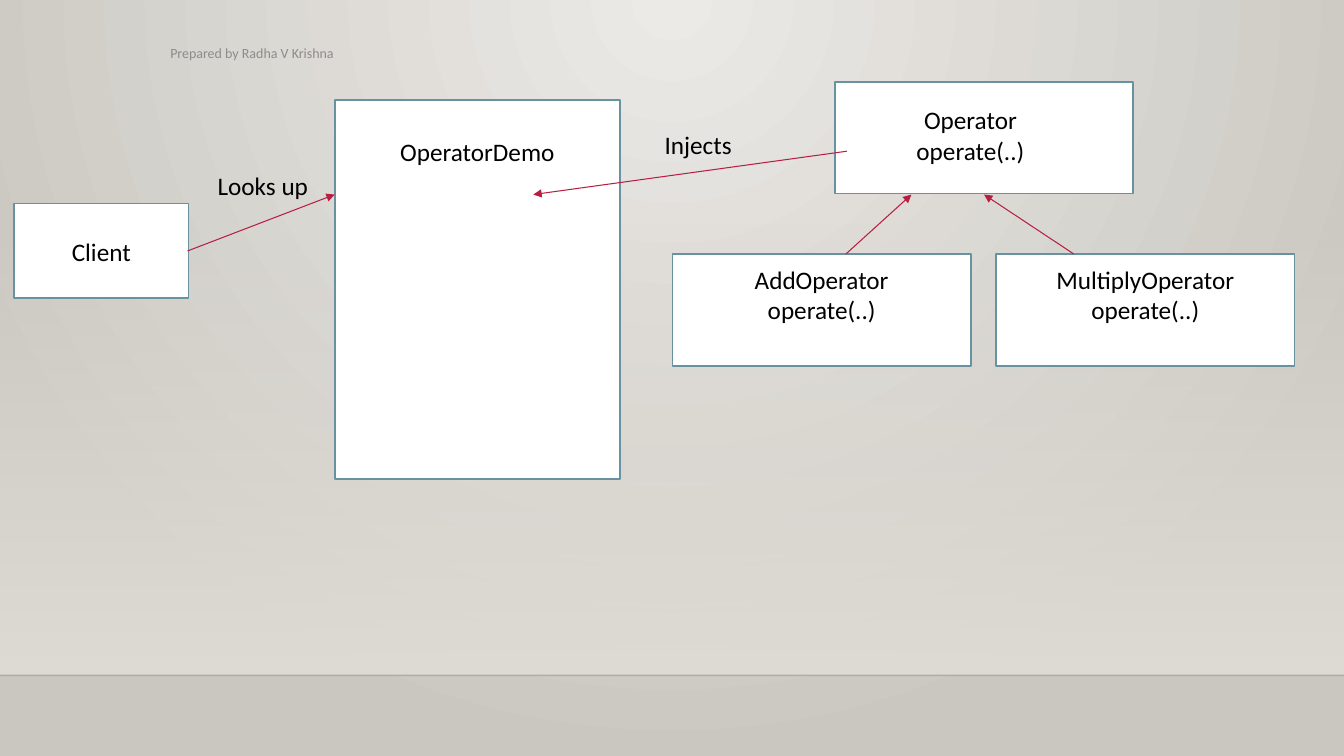
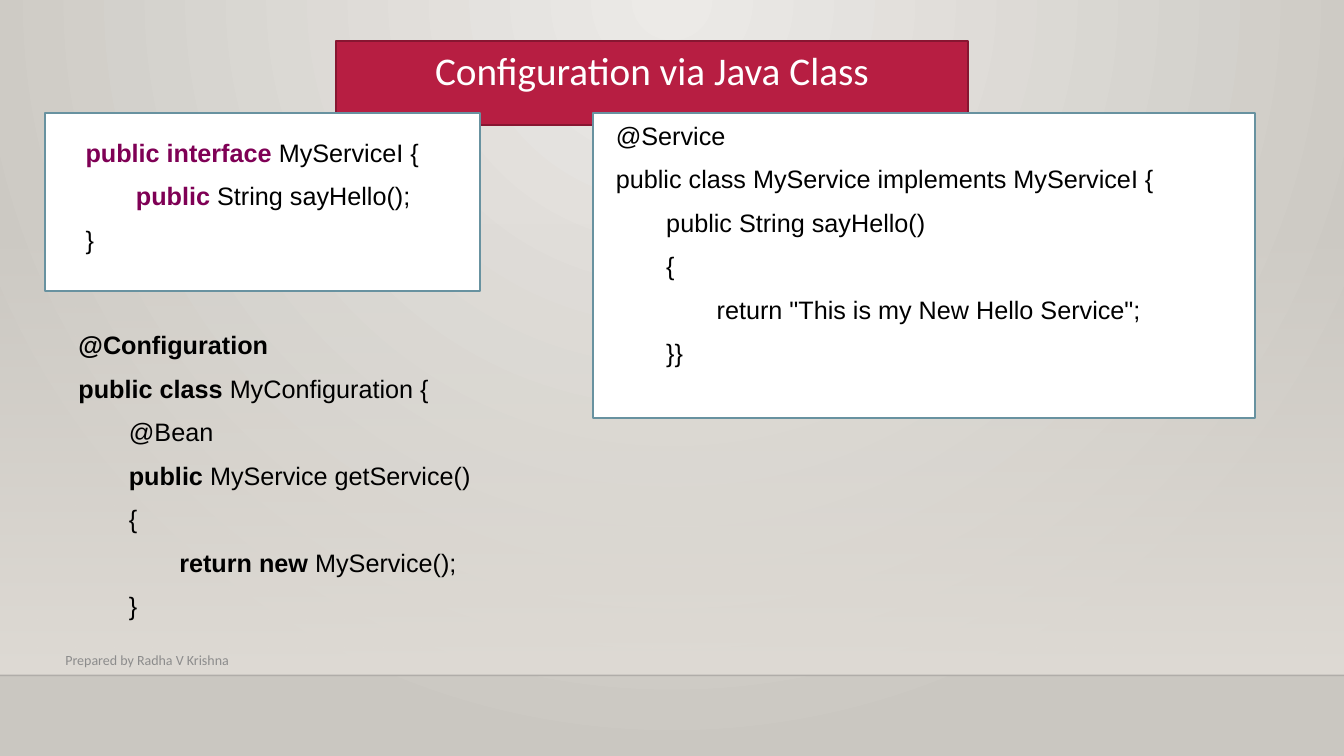
from lxml.etree import SubElement
from pptx import Presentation
from pptx.dml.color import RGBColor
from pptx.enum.shapes import MSO_CONNECTOR as CONNECTOR, MSO_SHAPE as SHAPE
from pptx.enum.text import MSO_ANCHOR as ANCHOR, MSO_AUTO_SIZE as AUTO_SIZE, PP_ALIGN as ALIGN
from pptx.oxml.ns import qn
from pptx.util import Inches, Pt

COLORS = {
    "glow": "ECEAE7", "edge": "CAC7C1", "wall": "DFDBD5", "floor_line": "000001",
    "white": "FFFFFF", "box_line": "6892A0", "accent": "B71E42",
    "accent_line": "871631", "text": "000000", "keyword": "7F0055", "footer": "8C8C8C",
}
RGB = {name: RGBColor.from_string(value) for name, value in COLORS.items()}


def add_box(page, place, fill="white", line="box_line"):
    box = page.shapes.add_shape(SHAPE.RECTANGLE, *map(Inches, place))
    box.shadow.inherit = False
    box.fill.solid()
    box.fill.fore_color.rgb = RGB[fill]
    box.line.color.rgb = RGB[line]
    box.line.width = Pt(1.25)
    return box


def write(box, lines, size=18, font="Calibri", align=ALIGN.CENTER, anchor=ANCHOR.TOP):
    """Each line is a list of (text, bold, colour) runs."""
    frame = box.text_frame
    frame.word_wrap = True
    frame.vertical_anchor = anchor
    for number, spans in enumerate(lines):
        para = frame.add_paragraph() if number else frame.paragraphs[0]
        para.alignment = align
        for text, bold, color in spans:
            span = para.add_run()
            span.text = text
            span.font.name = font
            span.font.size = Pt(size)
            span.font.bold = bold
            span.font.color.rgb = RGB[color]
    return frame


deck = Presentation()
deck.slide_width, deck.slide_height = Inches(13.33), Inches(7.5)
diagram = deck.slides.add_slide(deck.slide_layouts[6])
code = deck.slides.add_slide(deck.slide_layouts[5])

# Master background: a glow from the top centre
master = deck.slide_master
backdrop = master.background.fill
backdrop.gradient()
for stop, color in zip(backdrop.gradient_stops, ("glow", "edge")):
    stop.color.rgb = RGB[color]
gradient = master.element.find(".//" + qn("a:gradFill"))
gradient.remove(gradient.find(qn("a:lin")))
glow = SubElement(gradient, qn("a:path"), path="circle")
SubElement(glow, qn("a:fillToRect"), l="43000", t="0", r="43000", b="100000")

# Master wall and floor line, built on a slide and moved to the master
wall = add_box(diagram, (0, 2.21, 13.33, 4.49))
wall.line.fill.background()
wall.fill.gradient()
wall.fill.gradient_angle = 270
for stop in wall.fill.gradient_stops:
    stop.color.rgb = RGB["wall"]
SubElement(wall.element.find(".//" + qn("a:srgbClr")), qn("a:alpha"), val="0")

floor = diagram.shapes.add_connector(
    CONNECTOR.STRAIGHT, 0, Inches(6.7), Inches(13.33), Inches(6.7))
floor.line.color.rgb = RGB["floor_line"]
floor.line.width = Pt(1)
SubElement(floor.element.find(".//" + qn("a:srgbClr")), qn("a:alpha"), val="20000")
SubElement(floor.element.spPr, qn("a:effectLst"))

for number, part in enumerate((wall, floor)):
    part.element.find(".//" + qn("p:cNvPr")).set("id", str(100 + number))
    master.shapes.element.insert(2 + number, part.element)

# Slide 1: class boxes (place, lines, top margin or None for centred)
class_boxes = [
    ((8.28, 0.81, 2.96, 1.11), [], 0.05),
    ((9.88, 2.52, 2.96, 1.11), ["MultiplyOperator", "operate(..)"], 0.1),
    ((6.67, 2.52, 2.96, 1.11), ["AddOperator", "operate(..)"], 0.1),
    ((3.32, 0.99, 2.83, 3.76), ["OperatorDemo"], 0.36),
    ((0.14, 2.02, 1.73, 0.94), ["Client"], None),
]
for place, names, margin in class_boxes:
    anchor = ANCHOR.MIDDLE if margin is None else ANCHOR.TOP
    frame = write(add_box(diagram, place),
                  [[(name, False, "text")] for name in names], anchor=anchor)
    if margin is not None:
        frame.margin_top = Inches(margin)

# Slide 1: arrows
arrows = [
    (8.39, 2.52, 9.04, 1.93),
    (10.65, 2.52, 9.76, 1.93),
    (8.4, 1.5, 5.29, 1.93),
    (1.86, 2.49, 3.32, 1.93),
]
for ends in arrows:
    arrow = diagram.shapes.add_connector(CONNECTOR.STRAIGHT, *map(Inches, ends))
    arrow.line.color.rgb = RGB["accent"]
    arrow.line.width = Pt(0.75)
    SubElement(arrow.element.spPr.find(qn("a:ln")), qn("a:tailEnd"), type="triangle")
    SubElement(arrow.element.spPr, qn("a:effectLst"))

# Slide 1: labels
labels = [
    ((8.39, 0.99, 2.47, 0.71), ["Operator", "operate(..)"], ALIGN.CENTER),
    ((5.85, 1.23, 2.15, 0.4), ["Injects"], ALIGN.CENTER),
    ((2.06, 1.64, 2.15, 0.4), ["Looks up"], ALIGN.LEFT),
]
for place, names, align in labels:
    label = diagram.shapes.add_textbox(*map(Inches, place))
    write(label, [[(name, False, "text")] for name in names], align=align)

# Slide 2: title
title = code.shapes.title
title.left, title.top, title.width, title.height = map(Inches, (3.33, 0.41, 6.27, 0.57))
title.fill.solid()
title.fill.fore_color.rgb = RGB["accent"]
title.line.color.rgb = RGB["accent_line"]
title.line.width = Pt(1.25)
write(title, [[("Configuration via Java Class", False, "white")]], size=28)
title.text_frame.auto_size = AUTO_SIZE.SHAPE_TO_FIT_TEXT

# Slide 2: code listings; each line is (indent level, runs)
for place in ((5.88, 1.12, 6.57, 3.03), (0.45, 1.12, 4.31, 1.77)):
    add_box(code, place)

listings = [
    ((0.75, 1.29, 4.31, 1.28), [
        (0, [("public interface ", True, "keyword"), ("MyServiceI {", False, "text")]),
        (1, [("public", True, "keyword"), (" String sayHello();", False, "text")]),
        (0, [("}", False, "text")]),
    ]),
    ((6.01, 1.12, 6.57, 2.59), [
        (0, [("@Service", False, "text")]),
        (0, [("public class MyService implements MyServiceI {", False, "text")]),
        (1, [("public String sayHello()", False, "text")]),
        (1, [("{", False, "text")]),
        (2, [('return "This is my New Hello Service";', False, "text")]),
        (1, [("}}", False, "text")]),
    ]),
    ((0.68, 3.2, 4.82, 3.03), [
        (0, [("@Configuration", True, "text")]),
        (0, [("public class ", True, "text"), ("MyConfiguration {", False, "text")]),
        (1, [("@Bean", False, "text")]),
        (1, [("public ", True, "text"), ("MyService getService()", False, "text")]),
        (1, [("{", False, "text")]),
        (2, [("return new ", True, "text"), ("MyService();", False, "text")]),
        (1, [("}", False, "text")]),
    ]),
]
for place, lines in listings:
    listing = code.shapes.add_textbox(*map(Inches, place))
    frame = write(listing, [spans for _, spans in lines], font="Arial", align=ALIGN.LEFT)
    for para, (level, _) in zip(frame.paragraphs, lines):
        para.line_spacing = 1.07
        para.space_after = Pt(8)
        para._p.get_or_add_pPr().set("marL", str(Inches(0.5 * level)))

# Footers
for page, left, top in ((diagram, 1.59, 0.36), (code, 0.55, 6.38)):
    footer = page.shapes.add_textbox(*map(Inches, (left, top, 6.49, 0.34)))
    write(footer, [[("Prepared by Radha V Krishna", False, "footer")]],
          size=10, align=ALIGN.LEFT, anchor=ANCHOR.MIDDLE)

deck.save("out.pptx")
